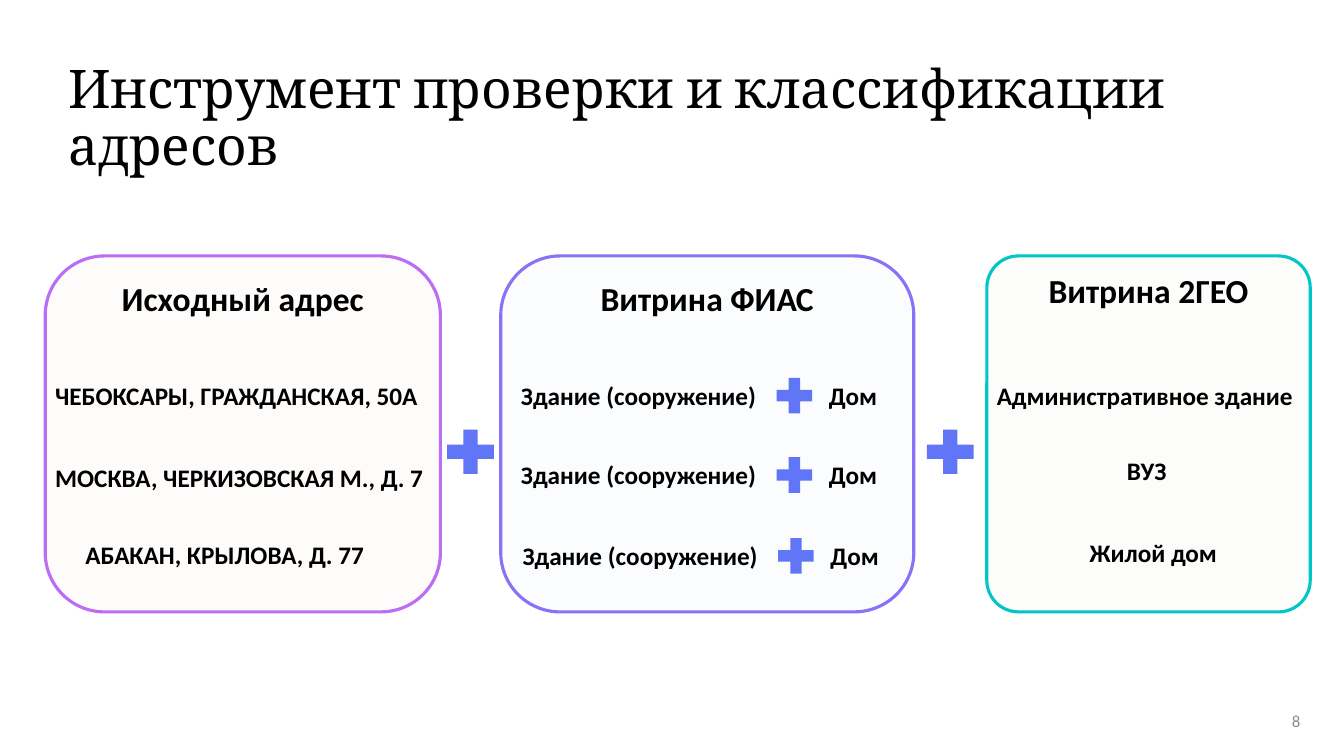
from dataclasses import dataclass

from lxml.etree import SubElement
from pptx import Presentation
from pptx.dml.color import RGBColor
from pptx.enum.shapes import MSO_SHAPE
from pptx.enum.text import MSO_ANCHOR, PP_ALIGN
from pptx.oxml.ns import qn
from pptx.util import Cm, Pt


@dataclass(frozen=True)
class Theme:
    title_font: str = "Cambria"
    body_font: str = "Calibri"
    title_size: int = 38
    heading_size: int = 24
    item_size: int = 18
    number_size: int = 12
    text: str = "000000"
    number: str = "8C8C8C"
    plus: str = "6076F6"
    source_fill: str = "FBE5D6"
    source_line: str = "BB6DF5"
    registry_fill: str = "DEEBF7"
    registry_line: str = "8972F6"
    maps_fill: str = "E2F0D9"
    maps_line: str = "02C5C6"
    panel_opacity: int = 10
    panel_line: float = 2.25


@dataclass(frozen=True)
class Box:
    """A rectangle measured in centimetres."""
    left: float
    top: float
    width: float
    height: float

    def inner(self, left, top, width, height):
        return Box(self.left + left, self.top + top, width, height)

    def lengths(self):
        return Cm(self.left), Cm(self.top), Cm(self.width), Cm(self.height)


THEME = Theme()
ITEM_HEIGHT = 1.02


def add_run(paragraph, text, size, color=THEME.text, font=THEME.body_font, bold=False):
    run = paragraph.add_run()
    run.text = text
    run.font.name = font
    run.font.size = Pt(size)
    run.font.bold = bold
    run.font.color.rgb = RGBColor.from_string(color)


def add_text_box(slide, box, wrap=True, anchor=MSO_ANCHOR.TOP):
    frame = slide.shapes.add_textbox(*box.lengths()).text_frame
    frame.word_wrap = wrap
    frame.vertical_anchor = anchor
    return frame.paragraphs[0]


def add_item(slide, box, text):
    paragraph = add_text_box(slide, box, wrap=False)
    add_run(paragraph, text, THEME.item_size, bold=True)


def add_filled_shape(slide, kind, box, color):
    shape = slide.shapes.add_shape(kind, *box.lengths())
    shape.shadow.inherit = False
    shape.fill.solid()
    shape.fill.fore_color.rgb = RGBColor.from_string(color)
    shape.line.fill.background()
    return shape


def add_plus(slide, box):
    add_filled_shape(slide, MSO_SHAPE.MATH_PLUS, box, THEME.plus)


def add_panel(slide, box, heading, fill, line, rounding=0.1667):
    panel = add_filled_shape(slide, MSO_SHAPE.ROUNDED_RECTANGLE, box, fill)
    panel.adjustments[0] = rounding
    # Translucent fill
    color = panel.fill._xPr.find(qn("a:solidFill"))[0]
    SubElement(color, qn("a:alpha"), val=str(THEME.panel_opacity * 1000))
    panel.line.color.rgb = RGBColor.from_string(line)
    panel.line.width = Pt(THEME.panel_line)
    # Heading
    frame = panel.text_frame
    frame.word_wrap = True
    frame.vertical_anchor = MSO_ANCHOR.TOP
    paragraph = frame.paragraphs[0]
    paragraph.alignment = PP_ALIGN.CENTER
    add_run(paragraph, heading, THEME.heading_size, bold=True)


def add_title(slide, box):
    paragraph = add_text_box(slide, box, anchor=MSO_ANCHOR.MIDDLE)
    paragraph.line_spacing = 0.9
    add_run(paragraph, "Инструмент проверки и классификации адресов",
            THEME.title_size, font=THEME.title_font)


def add_page_number(slide, box):
    paragraph = add_text_box(slide, box, anchor=MSO_ANCHOR.MIDDLE)
    paragraph.alignment = PP_ALIGN.RIGHT
    add_run(paragraph, "8", THEME.number_size, THEME.number)


def add_source_panel(slide, box):
    add_panel(slide, box, "Исходный адрес", THEME.source_fill, THEME.source_line)
    for left, top, width, address in (
        (0, 3, 10.06, "ЧЕБОКСАРЫ, ГРАЖДАНСКАЯ, 50А"),
        (0, 5.08, 10.34, "МОСКВА, ЧЕРКИЗОВСКАЯ М., Д. 7"),
        (0.76, 7.01, 8.41, "АБАКАН, КРЫЛОВА, Д. 77"),
    ):
        add_item(slide, box.inner(left, top, width, ITEM_HEIGHT), address)


def add_registry_panel(slide, box):
    add_panel(slide, box, "Витрина ФИАС", THEME.registry_fill, THEME.registry_line)
    for left, top in ((0.26, 3), (0.26, 5), (0.3, 7.04)):
        row = box.inner(left, top, 9.5, ITEM_HEIGHT)
        add_item(slide, row.inner(0, 0, 6.55, ITEM_HEIGHT), "Здание (сооружение)")
        add_plus(slide, row.inner(6.53, -0.09, 1.22, 1.22))
        add_item(slide, row.inner(7.76, 0.01, 1.75, ITEM_HEIGHT), "Дом")


def add_maps_panel(slide, box):
    add_panel(slide, box, "Витрина 2ГЕО", THEME.maps_fill, THEME.maps_line, 0.098)
    for left, top, width, category in (
        (0, 3, 8.28, "Административное здание"),
        (3.28, 4.9, 1.75, "ВУЗ"),
        (2.34, 6.96, 4.11, "Жилой дом"),
    ):
        add_item(slide, box.inner(left, top, width, ITEM_HEIGHT), category)


def add_joining_plus(slide, before, after):
    """Centre a plus in the gap between two neighbouring panels."""
    width, height = 1.6, 1.52
    center = (before.left + before.width + after.left) / 2
    middle = before.top + before.height / 2 + 0.45
    add_plus(slide, Box(center - width / 2, middle - height / 2, width, height))


def main():
    presentation = Presentation()
    presentation.slide_width = Cm(33.87)
    presentation.slide_height = Cm(19.05)
    slide = presentation.slides.add_slide(presentation.slide_layouts[6])

    add_title(slide, Box(1.47, 0.69, 32.72, 4.65))

    # Three panels share one band
    top, height = 6.45, 8.97
    source = Box(1.14, top, 9.96, height)
    registry = Box(12.62, top, 10.41, height)
    maps = Box(24.87, top, 8.15, height)
    add_source_panel(slide, source)
    add_registry_panel(slide, registry)
    add_maps_panel(slide, maps)
    add_joining_plus(slide, source, registry)
    add_joining_plus(slide, registry, maps)

    add_page_number(slide, Box(25.4, 17.65, 7.62, 1.02))
    presentation.save("out.pptx")


if __name__ == "__main__":
    main()
